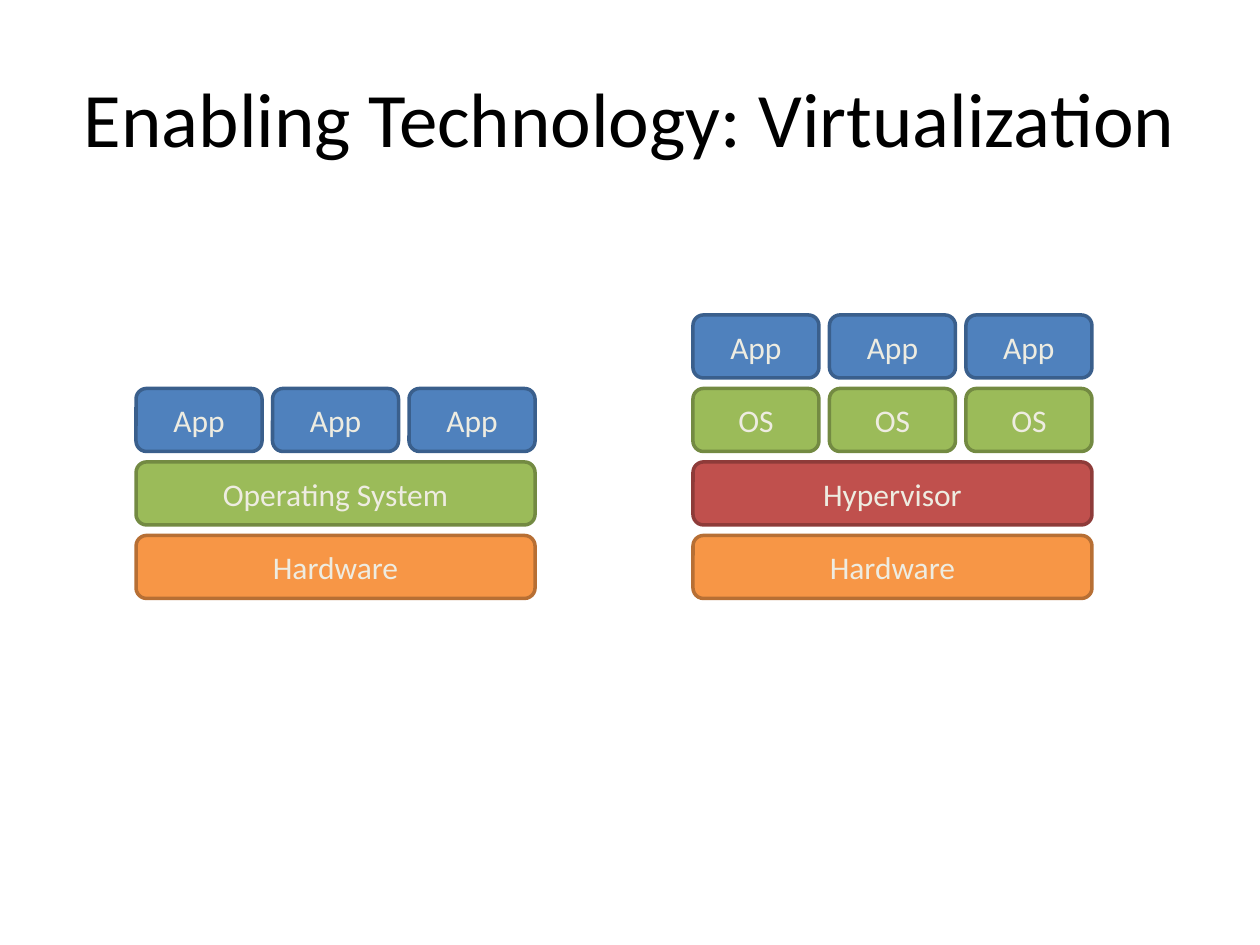
import pptx
import pptx.dml.color
import pptx.enum.shapes
import pptx.enum.text
import pptx.util

Inches = pptx.util.Inches
RGBColor = pptx.dml.color.RGBColor

BLACK = RGBColor(0x00, 0x00, 0x00)
CREAM = RGBColor(0xEE, 0xEC, 0xE1)
# Fill and outline of each kind of layer
ORANGE = RGBColor(0xF7, 0x96, 0x46), RGBColor(0xB7, 0x6F, 0x34)
GREEN = RGBColor(0x9B, 0xBB, 0x59), RGBColor(0x73, 0x8A, 0x42)
BLUE = RGBColor(0x4F, 0x81, 0xBD), RGBColor(0x3A, 0x5F, 0x8C)
RED = RGBColor(0xC0, 0x50, 0x4D), RGBColor(0x8E, 0x3B, 0x39)

GAP = 1 / 12
STACK_WIDTH = 3 + 2 * GAP
LAYER_HEIGHT = 0.5
BOTTOM_LAYER_TOP = 4.25

# Left edge and layers from the bottom up: label, colours, boxes in the row
STACKS = [
    (1.08, [("Hardware", ORANGE, 1),
            ("Operating System", GREEN, 1),
            ("App", BLUE, 3)]),
    (5.5, [("Hardware", ORANGE, 1),
           ("Hypervisor", RED, 1),
           ("OS", GREEN, 3),
           ("App", BLUE, 3)]),
]


def write(frame, text, size, color):
    """Put one centred run into a text frame, anchored in the middle."""
    frame.word_wrap = True
    frame.vertical_anchor = pptx.enum.text.MSO_ANCHOR.MIDDLE
    para = frame.paragraphs[0]
    para.alignment = pptx.enum.text.PP_ALIGN.CENTER
    span = para.add_run()
    span.text = text
    span.font.name = "Calibri"
    span.font.size = pptx.util.Pt(size)
    span.font.color.rgb = color


deck = pptx.Presentation()
deck.slide_width = Inches(10)
deck.slide_height = Inches(7.5)
page = deck.slides.add_slide(deck.slide_layouts.get_by_name("Title Only"))

title = page.shapes.title
title.left, title.top = Inches(0.5), Inches(0.3)
title.width, title.height = Inches(9), Inches(1.25)
write(title.text_frame, "Enabling Technology: Virtualization", 44, BLACK)

for stack_left, layers in STACKS:
    stack = page.shapes.add_group_shape()
    for level, (label, (fill, outline), count) in enumerate(layers):
        top = BOTTOM_LAYER_TOP - level * (LAYER_HEIGHT + GAP)
        width = (STACK_WIDTH - (count - 1) * GAP) / count
        for column in range(count):
            box = stack.shapes.add_shape(
                pptx.enum.shapes.MSO_SHAPE.ROUNDED_RECTANGLE,
                Inches(stack_left + column * (width + GAP)), Inches(top),
                Inches(width), Inches(LAYER_HEIGHT))
            box.shadow.inherit = False
            box.fill.solid()
            box.fill.fore_color.rgb = fill
            box.line.color.rgb = outline
            box.line.width = pptx.util.Pt(2)
            write(box.text_frame, label, 18, CREAM)

deck.save("out.pptx")
